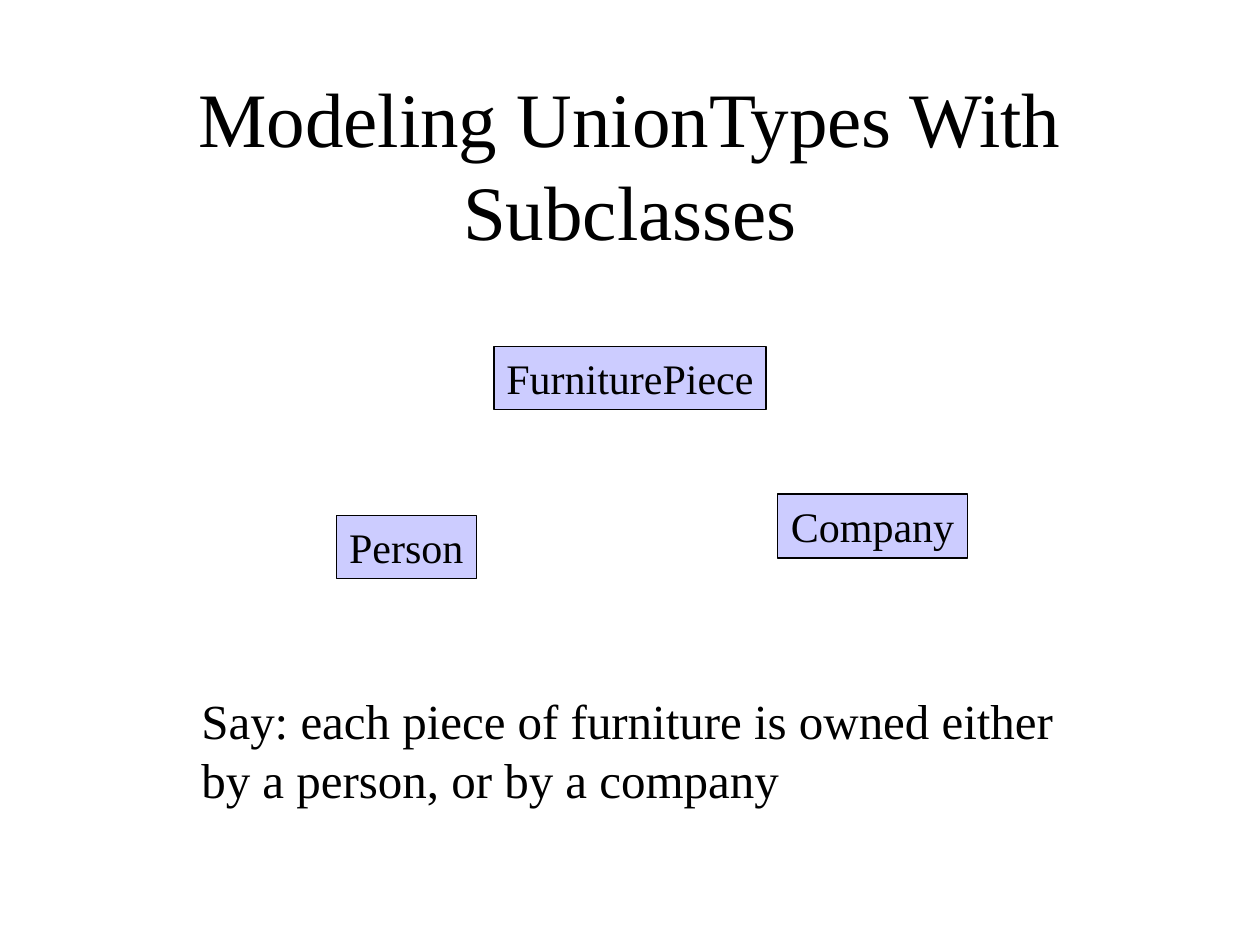
import pptx
import pptx.util
import pptx.dml.color
import pptx.enum.shapes
import pptx.enum.text

Inches = pptx.util.Inches
ALIGN = pptx.enum.text.PP_ALIGN
FONT = "Times New Roman"
BLACK = "000000"
LAVENDER = "CCCCFF"


def color(hex_value):
    return pptx.dml.color.RGBColor.from_string(hex_value)


def write(frame, text, size, align):
    """Put one paragraph of text, vertically centred, into a frame."""
    frame.text = text
    frame.vertical_anchor = pptx.enum.text.MSO_ANCHOR.MIDDLE
    paragraph = frame.paragraphs[0]
    paragraph.alignment = align
    paragraph.font.name = FONT
    paragraph.font.size = pptx.util.Pt(size)
    paragraph.font.color.rgb = color(BLACK)


def set_title(slide, text):
    title = slide.shapes.title
    title.left, title.top = Inches(0.75), Inches(0.67)
    title.width, title.height = Inches(8.5), Inches(1.25)
    write(title.text_frame, text, 44, ALIGN.CENTER)
    title.text_frame.auto_size = pptx.enum.text.MSO_AUTO_SIZE.NONE


def add_class_box(slide, name, left, top, width, height):
    box = slide.shapes.add_shape(
        pptx.enum.shapes.MSO_SHAPE.RECTANGLE,
        Inches(left), Inches(top), Inches(width), Inches(height))
    box.shadow.inherit = False
    box.fill.solid()
    box.fill.fore_color.rgb = color(LAVENDER)
    box.line.color.rgb = color(BLACK)
    box.line.width = pptx.util.Pt(0.75)
    write(box.text_frame, name, 24, ALIGN.CENTER)
    box.text_frame.word_wrap = False


def add_statement(slide, text):
    statement = slide.shapes.add_textbox(
        Inches(1.5), Inches(5.43), Inches(7.33), Inches(1.04))
    write(statement.text_frame, text, 28, ALIGN.LEFT)
    statement.text_frame.word_wrap = True


def main():
    deck = pptx.Presentation()
    deck.slide_width, deck.slide_height = Inches(10), Inches(7.5)
    slide = deck.slides.add_slide(deck.slide_layouts.get_by_name("Title Only"))

    set_title(slide, "Modeling UnionTypes With Subclasses")

    # Classes: the owned piece and its two possible owners
    add_class_box(slide, "FurniturePiece", 3.92, 2.75, 2.16, 0.5)
    add_class_box(slide, "Person", 2.67, 4.09, 1.11, 0.5)
    add_class_box(slide, "Company", 6.17, 3.92, 1.51, 0.51)

    # Ownership rule
    add_statement(slide, "Say: each piece of furniture is owned either "
                         "by a person, or by a company")

    deck.save("out.pptx")


if __name__ == "__main__":
    main()
